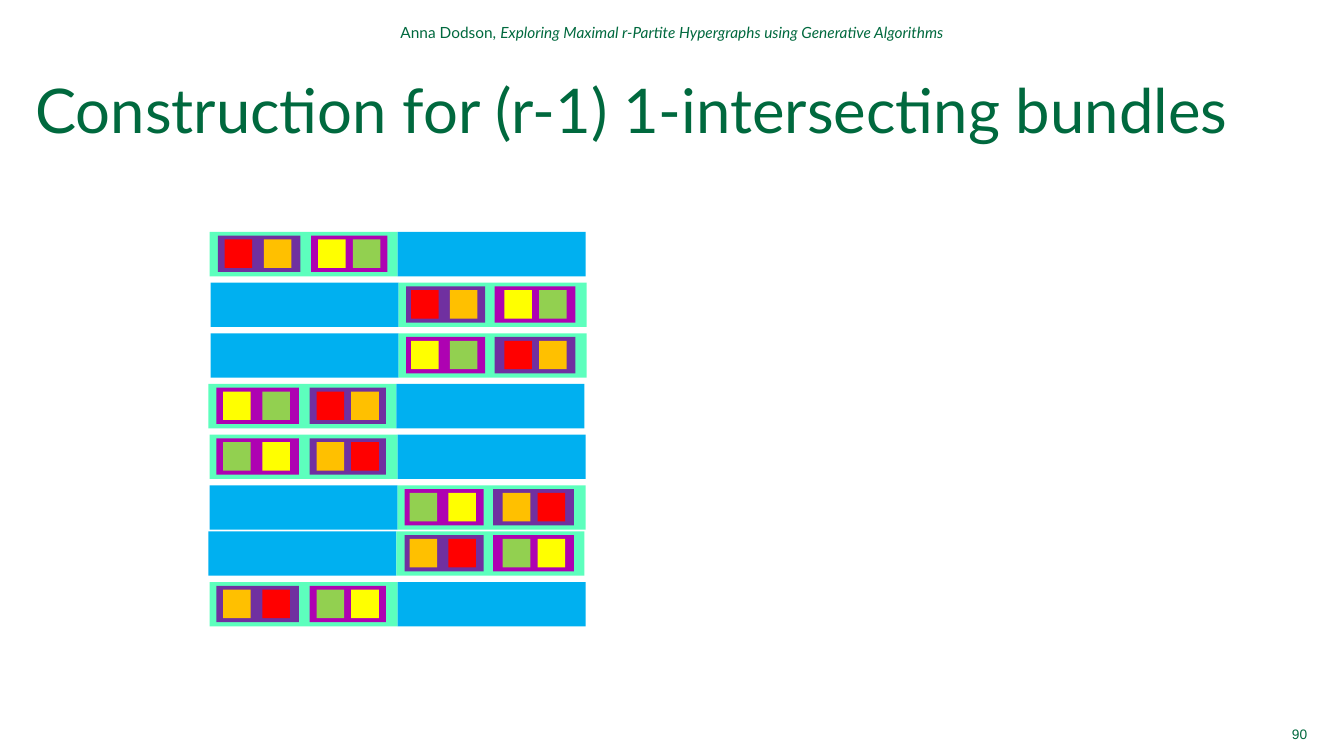
from pptx import Presentation
from pptx.dml.color import RGBColor
from pptx.enum.shapes import MSO_SHAPE as Shape
from pptx.enum.text import MSO_ANCHOR as Anchor, MSO_AUTO_SIZE as AutoSize, PP_ALIGN as Align
from pptx.util import Pt

COLORS = {
    "text": "00693E", "mint": "5DFFBD", "blue": "00B0F0",
    "warm": "7030A0", "cool": "AE02B2",
    "R": "FF0000", "O": "FFC000", "Y": "FFFF00", "G": "92D050",
}

# Each row: left edge, active half, order of the four vertices.
ROWS = [
    (149.8, "left", "ROYG"), (150.5, "right", "ROYG"),
    (150.5, "right", "YGRO"), (148.8, "left", "YGRO"),
    (149.8, "left", "GYOR"), (149.8, "right", "GYOR"),
    (148.8, "right", "ORGY"), (149.8, "left", "ORGY"),
]
ROW_TOP, ROW_PITCH, HALF_WIDTH, HALF_HEIGHT = 165.7, 36.2, 134.3, 31.7
LAST_PAIR, LAST_PAIR_LIFT = 6, 3.3
BUNDLE_HEIGHT, VERTEX_WIDTH, VERTEX_HEIGHT = 26, 19.7, 20.3
# Offsets from the left edge of the first bundle.
BUNDLES = {"left": [(0, 59), (66.6, 54.5)], "right": [(134.5, 56.5), (197.8, 57.6)]}
VERTICES = {"left": [4.8, 32.9, 71.6, 96.4], "right": [138, 165.7, 204.6, 229.5]}


class SlideBuilder:
    def __init__(self, presentation, font="Lato", color="text"):
        self.font, self.color = font, color
        self.slide = presentation.slides.add_slide(presentation.slide_layouts[5])

    def fill_text(self, shape, parts, size, font=None, align=Align.LEFT, anchor=Anchor.TOP, spacing=1.0):
        """Fill a shape with one paragraph made of (text, italic) parts."""
        frame = shape.text_frame
        frame.word_wrap, frame.auto_size = True, AutoSize.NONE
        frame.vertical_anchor = anchor
        frame.margin_left = frame.margin_right = frame.margin_top = frame.margin_bottom = 0
        paragraph = frame.paragraphs[0]
        paragraph.alignment, paragraph.line_spacing = align, spacing
        for text, italic in parts:
            run = paragraph.add_run()
            run.text = text
            run.font.name, run.font.size, run.font.italic = font or self.font, Pt(size), italic
            run.font.color.rgb = RGBColor.from_string(COLORS[self.color])

    def title(self, text, left, top, width, height, **style):
        title = self.slide.shapes.title
        title.left, title.top, title.width, title.height = map(Pt, (left, top, width, height))
        self.fill_text(title, [(text, False)], **style)

    def text(self, parts, left, top, width, height, **style):
        box = self.slide.shapes.add_textbox(*map(Pt, (left, top, width, height)))
        self.fill_text(box, parts, anchor=Anchor.MIDDLE, **style)

    def block(self, color, left, top, width, height):
        block = self.slide.shapes.add_shape(Shape.RECTANGLE, *map(Pt, (left, top, width, height)))
        block.shadow.inherit = False
        block.fill.solid()
        block.fill.fore_color.rgb = RGBColor.from_string(COLORS[color])
        block.line.fill.background()

    def hyperedge_row(self, index, left, side, order):
        """Draw both halves of a row and the two bundles in its active half."""
        top = ROW_TOP + index * ROW_PITCH - (LAST_PAIR_LIFT if index >= LAST_PAIR else 0)
        for position, half in enumerate(("left", "right")):
            color = "mint" if half == side else "blue"
            self.block(color, left + position * HALF_WIDTH, top, HALF_WIDTH, HALF_HEIGHT)
        origin = 155.6 if index < 3 else 154.5
        for (offset, width), pair in zip(BUNDLES[side], (order[:2], order[2:])):
            color = "warm" if "R" in pair else "cool"
            self.block(color, origin + offset, top + 2.6, width, BUNDLE_HEIGHT)
        for offset, vertex in zip(VERTICES[side], order):
            self.block(vertex, origin + offset, top + 5.4, VERTEX_WIDTH, VERTEX_HEIGHT)


def main():
    presentation = Presentation()
    presentation.slide_width, presentation.slide_height = Pt(960), Pt(540)
    builder = SlideBuilder(presentation)
    builder.title("Construction for (r-1) 1-intersecting bundles", 25.2, 59.8, 909.4, 54,
                  size=44, spacing=0.85)
    builder.text([("90", False)], 892.8, 515.5, 41, 17.3, size=9.8, font="Arial", align=Align.RIGHT)
    builder.text([("Anna Dodson, ", False),
                  ("Exploring Maximal r-Partite Hypergraphs using Generative Algorithms", True)],
                 187.9, 14.4, 584.6, 17.3, size=11, align=Align.CENTER)
    for index, row in enumerate(ROWS):
        builder.hyperedge_row(index, *row)
    presentation.save("out.pptx")


if __name__ == "__main__":
    main()
